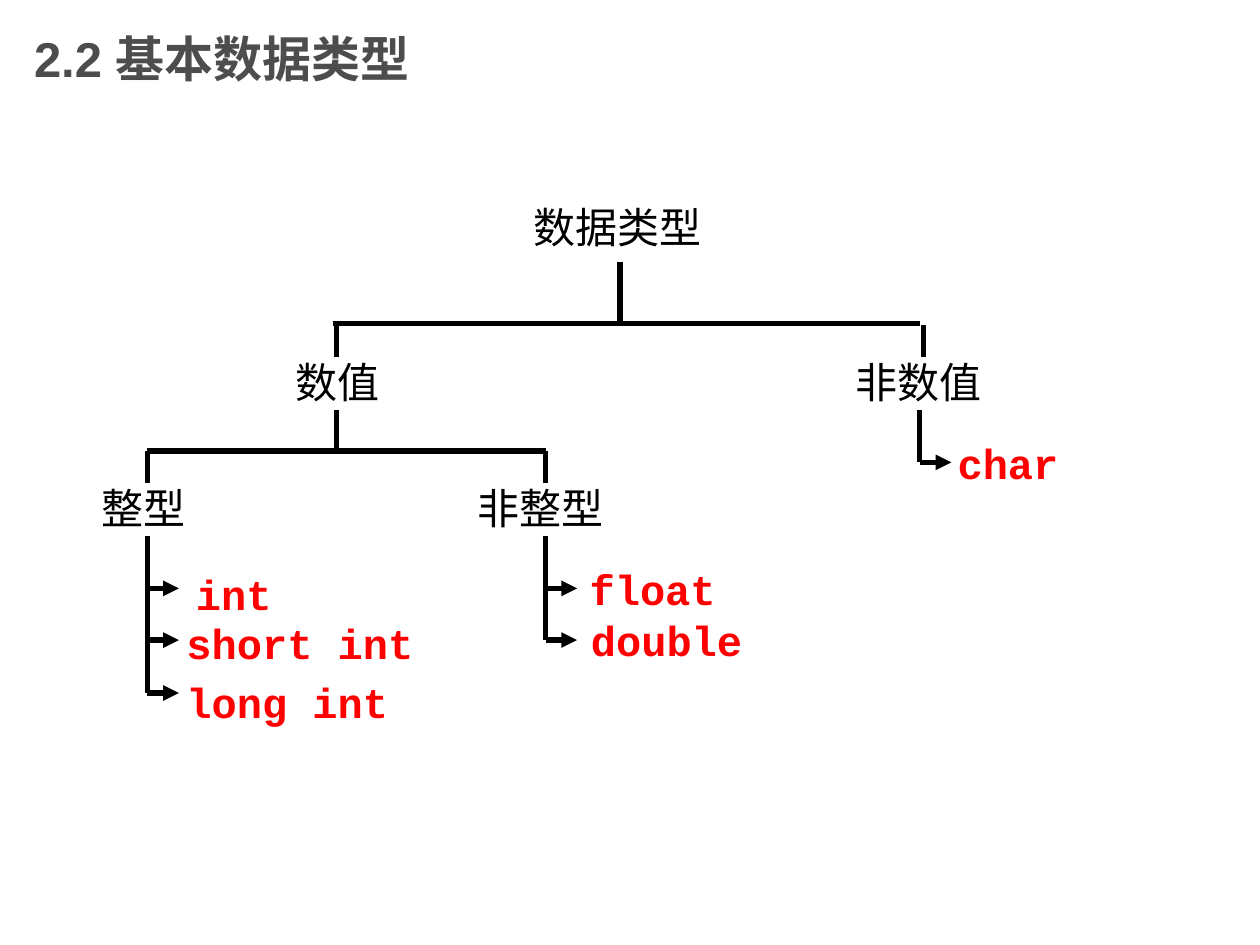
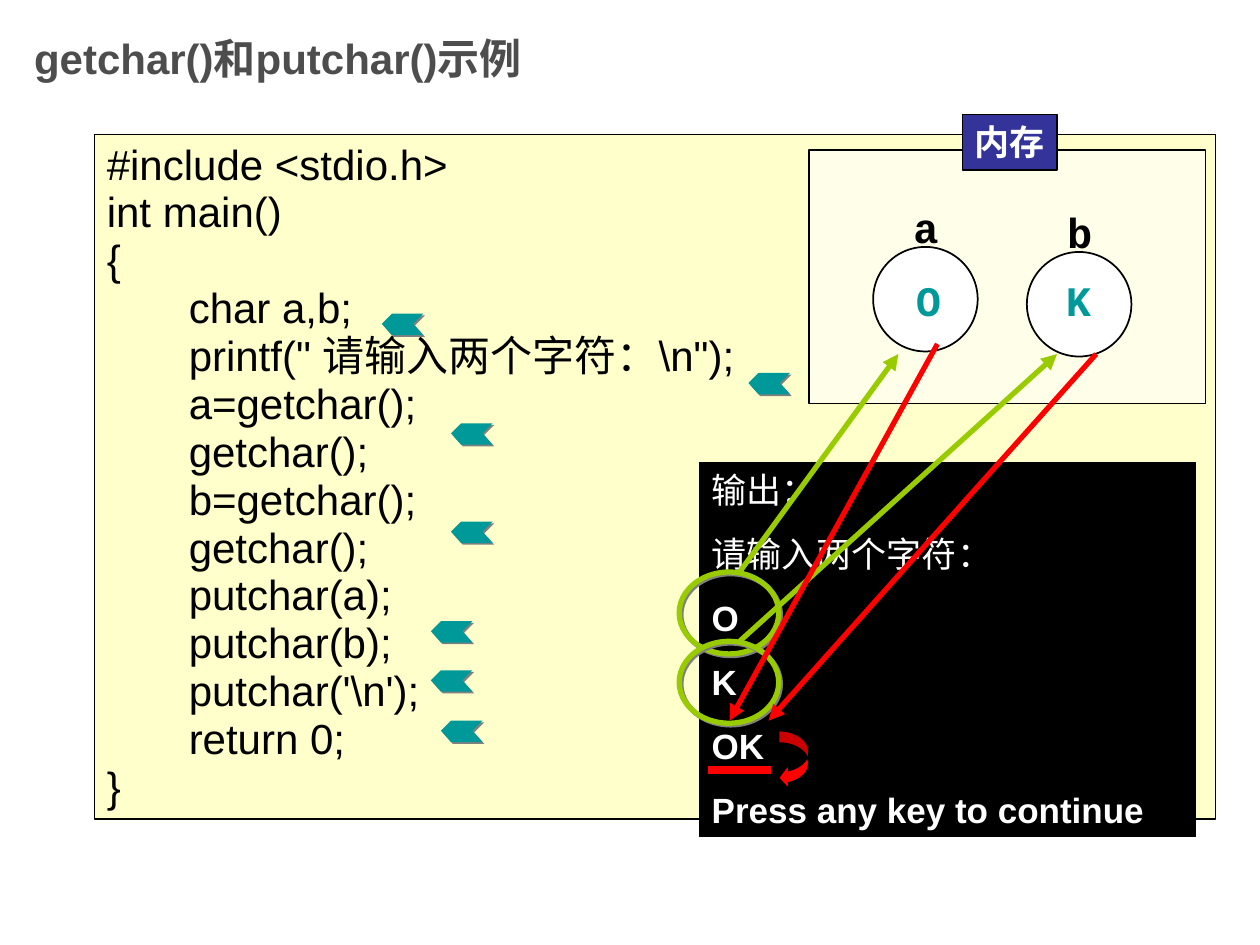
from dataclasses import dataclass
from typing import NamedTuple

from lxml import etree
from pptx import Presentation
from pptx.dml.color import RGBColor
from pptx.enum import shapes, text
from pptx.oxml import ns
from pptx import util as u


@dataclass(frozen=True)
class Theme:
    black: RGBColor = RGBColor(0x00, 0x00, 0x00)
    white: RGBColor = RGBColor(0xFF, 0xFF, 0xFF)
    title: RGBColor = RGBColor(0x4D, 0x4D, 0x4D)
    red: RGBColor = RGBColor(0xFF, 0x00, 0x00)
    green: RGBColor = RGBColor(0x99, 0xCC, 0x00)
    teal: RGBColor = RGBColor(0x00, 0x99, 0x99)
    navy: RGBColor = RGBColor(0x33, 0x33, 0x99)
    code_fill: RGBColor = RGBColor(0xFF, 0xFF, 0xCC)
    memory_fill: RGBColor = RGBColor(0xFF, 0xFF, 0xE9)
    shadow: str = "808080"
    sans: str = "Arial"
    mono: str = "Courier New"
    chinese: str = "Noto Sans CJK SC"
    big_title: int = 28
    body: int = 24
    small: int = 20
    thin: float = 0.74
    ring: float = 0.99
    thick: float = 3
    underline: float = 4.5
    code_leading: float = 0.95


THEME = Theme()


class Area(NamedTuple):
    left: float
    top: float
    width: float
    height: float


class Point(NamedTuple):
    x: float
    y: float


class Style(NamedTuple):
    size: int
    color: RGBColor
    font: str = THEME.sans
    bold: bool = False


class Label(NamedTuple):
    words: str
    left: float
    top: float
    width: float


@dataclass(frozen=True)
class Branch:
    """A trunk with one arrow at each level."""
    x: float
    top: float
    levels: tuple


@dataclass(frozen=True)
class Variable:
    name: str
    value: str
    circle: Point
    value_left: float


NODE = Style(THEME.body, THEME.black, THEME.mono)
TYPE_NAME = Style(THEME.body, THEME.red, THEME.mono, True)


# Shared helpers
def inches(values) -> list:
    return [u.Inches(value) for value in values]


def add_span(para, words: str, style: Style) -> None:
    span = para.add_run()
    span.text = words
    span.font.size = u.Pt(style.size)
    span.font.bold = style.bold
    span.font.color.rgb = style.color
    span.font.name = style.font
    east_asian = etree.SubElement(span._r.get_or_add_rPr(), ns.qn("a:ea"))
    east_asian.set("typeface", THEME.chinese)


def prepare_frame(box, wrap: bool, anchor=text.MSO_ANCHOR.TOP):
    frame = box.text_frame
    frame.auto_size = text.MSO_AUTO_SIZE.NONE
    frame.word_wrap = wrap
    frame.vertical_anchor = anchor
    return frame


def write_line(box, words: str, style: Style) -> None:
    para = prepare_frame(box, wrap=False).paragraphs[0]
    para.alignment = text.PP_ALIGN.CENTER
    add_span(para, words, style)


def next_para(frame, index: int):
    para = frame.add_paragraph() if index else frame.paragraphs[0]
    para.alignment = text.PP_ALIGN.LEFT
    return para


def add_label(page, label: Label, style: Style) -> None:
    area = Area(label.left, label.top, label.width, 0.5)
    write_line(page.shapes.add_textbox(*inches(area)), label.words, style)


def paint(box, fill=None, line=None, width: float = THEME.thin) -> None:
    box.shadow.inherit = False
    if fill is None:
        box.fill.background()
    else:
        box.fill.solid()
        box.fill.fore_color.rgb = fill
    if line is None:
        box.line.fill.background()
    else:
        box.line.color.rgb = line
        box.line.width = u.Pt(width)


def add_box(page, kind, area: Area, fill=None, line=None, width: float = THEME.thin):
    box = page.shapes.add_shape(kind, *inches(area))
    paint(box, fill, line, width)
    return box


def cast_shadow(box) -> None:
    effects = box._element.spPr.find(ns.qn("a:effectLst"))
    shadow = etree.SubElement(effects, ns.qn("a:outerShdw"), dist=str(u.Pt(1.4)),
                              dir="2700000", algn="ctr", rotWithShape="0")
    etree.SubElement(shadow, ns.qn("a:srgbClr"), val=THEME.shadow)


def add_line(page, start, end, color=THEME.black, width: float = THEME.thick,
             arrow: bool = False) -> None:
    line = page.shapes.add_connector(
        shapes.MSO_CONNECTOR.STRAIGHT, *inches((*start, *end)))
    line.line.color.rgb = color
    line.line.width = u.Pt(width)
    if arrow:
        etree.SubElement(line.line._get_or_add_ln(), ns.qn("a:tailEnd"), type="triangle")
    etree.SubElement(line._element.spPr, ns.qn("a:effectLst"))


def add_page(deck, title: str, size: int):
    page = deck.slides.add_slide(deck.slide_layouts[5])
    box = page.shapes.title
    box.left, box.top, box.width, box.height = inches((0.17, 0, 7.5, 0.92))
    frame = prepare_frame(box, True, text.MSO_ANCHOR.MIDDLE)
    para = frame.paragraphs[0]
    para.alignment = text.PP_ALIGN.LEFT
    add_span(para, title, Style(size, THEME.title, bold=True))
    return page


# Slide 1: tree of data types
def add_branch(page, branch: Branch) -> None:
    start = branch.top
    for level in branch.levels:
        add_line(page, (branch.x, start), (branch.x, level))
        add_line(page, (branch.x, level), (branch.x + 0.25, level), arrow=True)
        start = level


def build_type_tree(deck) -> None:
    page = add_page(deck, "2.2 基本数据类型", THEME.big_title)

    # Stems and crossbars
    for start, end in (
        ((4.92, 2.08), (4.92, 2.58)),
        ((2.64, 2.57), (7.3, 2.57)),
        ((2.67, 2.58), (2.67, 2.83)),
        ((7.33, 2.58), (7.33, 2.83)),
        ((2.67, 3.25), (2.67, 3.58)),
        ((1.17, 3.58), (4.33, 3.58)),
        ((1.17, 3.58), (1.17, 3.83)),
        ((4.33, 3.58), (4.33, 3.83)),
    ):
        add_line(page, start, end)

    for branch in (
        Branch(1.17, 4.25, (4.67, 5.08, 5.5)),
        Branch(4.33, 4.25, (4.67, 5.08)),
        Branch(7.3, 3.25, (3.67,)),
    ):
        add_branch(page, branch)

    # Category names and type names
    for label in (
        Label("数据类型", 4.14, 1.55, 1.53),
        Label("数值", 2.25, 2.78, 0.86),
        Label("非数值", 6.69, 2.78, 1.2),
        Label("整型", 0.71, 3.78, 0.86),
        Label("非整型", 3.69, 3.78, 1.2),
    ):
        add_label(page, label, NODE)
    for label in (
        Label("int", 1.38, 4.46, 0.95),
        Label("short int", 1.38, 4.85, 2),
        Label("long int", 1.38, 5.32, 1.8),
        Label("float", 4.58, 4.42, 1.2),
        Label("double", 4.59, 4.83, 1.4),
        Label("char", 7.5, 3.42, 1),
    ):
        add_label(page, label, TYPE_NAME)


# Slide 2: program, memory and console
CODE = ("#include <stdio.h>", "int main()", "{")
CODE_BODY = (
    "char a,b;", 'printf(" 请输入两个字符：\\n");', "a=getchar();", "getchar();",
    "b=getchar();", "getchar();", "putchar(a);", "putchar(b);",
    "putchar('\\n');", "return 0;",
)
CONSOLE = ("输出：", "请输入两个字符：", "O", "K", "OK", "Press any key to continue")


def add_code(page) -> None:
    box = add_box(page, shapes.MSO_SHAPE.RECTANGLE, Area(0.75, 1.07, 8.9, 5.43),
                  THEME.code_fill, THEME.black)
    frame = prepare_frame(box, True, text.MSO_ANCHOR.MIDDLE)
    for index, words in enumerate((*CODE, *CODE_BODY, "}")):
        para = next_para(frame, index)
        para.line_spacing = THEME.code_leading
        if words in CODE_BODY:
            para._p.get_or_add_pPr().set("marL", str(u.Inches(0.65)))
        add_span(para, words, Style(THEME.body, THEME.black))


def add_memory(page) -> None:
    rectangle = shapes.MSO_SHAPE.RECTANGLE
    add_box(page, rectangle, Area(6.42, 1.19, 3.15, 2.01), THEME.memory_fill, THEME.black)
    tag = add_box(page, rectangle, Area(7.64, 0.91, 0.75, 0.44), THEME.navy, THEME.black)
    write_line(tag, "内存", Style(THEME.small, THEME.white, THEME.mono, True))
    for variable in (
        Variable("a", "O", Point(6.93, 1.96), 7.17),
        Variable("b", "K", Point(8.15, 2), 8.36),
    ):
        x, y = variable.circle
        add_box(page, shapes.MSO_SHAPE.OVAL, Area(x, y, 0.83, 0.83),
                THEME.white, THEME.black, THEME.ring)
        add_label(page, Label(variable.name, x + 0.22, y - 0.41, 0.4),
                  Style(THEME.body, THEME.black, THEME.mono, True))
        add_label(page, Label(variable.value, variable.value_left, 2.13, 0.4),
                  Style(THEME.body, THEME.teal, THEME.mono, True))


def add_marker(page, x: float, y: float) -> None:
    outline = ((0.33, 0), (0.08, 0), (0, 0.08), (0.08, 0.17), (0.33, 0.17), (0.25, 0.08))
    points = [inches((x + dx, y + dy)) for dx, dy in outline]
    builder = page.shapes.build_freeform(*points[0])
    builder.add_line_segments(points[1:], close=True)
    marker = builder.convert_to_shape()
    paint(marker, THEME.teal)
    cast_shadow(marker)


def add_console(page) -> None:
    box = add_box(page, shapes.MSO_SHAPE.RECTANGLE, Area(5.55, 3.67, 3.94, 2.97),
                  THEME.black, THEME.black)
    frame = prepare_frame(box, True)
    for index, words in enumerate(CONSOLE):
        para = next_para(frame, index)
        para.space_before = u.Pt(12.5)
        add_span(para, words, Style(THEME.small, THEME.white, bold=index > 1))


def build_char_example(deck) -> None:
    page = add_page(deck, "getchar()和putchar()示例", THEME.body)
    add_code(page)
    add_memory(page)
    for x, y in ((3.03, 2.49), (5.94, 2.96), (3.58, 3.36), (3.58, 4.14),
                 (3.42, 4.93), (3.42, 5.32), (3.5, 5.72)):
        add_marker(page, x, y)
    add_console(page)

    # Typed characters go to memory, then back to the console
    for top, target in ((4.54, (7.13, 2.81)), (5.09, (8.39, 2.81))):
        add_line(page, (5.87, top), target, THEME.green, arrow=True)
        ring = add_box(page, shapes.MSO_SHAPE.OVAL, Area(5.39, top, 0.79, 0.65),
                       line=THEME.green, width=THEME.thick)
        cast_shadow(ring)
    for start, end in (((7.44, 2.73), (5.79, 5.72)), ((8.7, 2.81), (6.1, 5.72))):
        add_line(page, start, end, THEME.red, arrow=True)

    # Printed result and its line break
    add_line(page, (5.62, 6.11), (6.12, 6.11), THEME.red, THEME.underline)
    turn = add_box(page, shapes.MSO_SHAPE.CURVED_LEFT_ARROW, Area(6.18, 5.8, 0.24, 0.47),
                   THEME.red, THEME.black)
    for index, value in enumerate((0.4, 0.8, 0.33)):
        turn.adjustments[index] = value


deck = Presentation()
deck.slide_width, deck.slide_height = inches((10, 7.5))
build_type_tree(deck)
build_char_example(deck)
deck.save("out.pptx")
